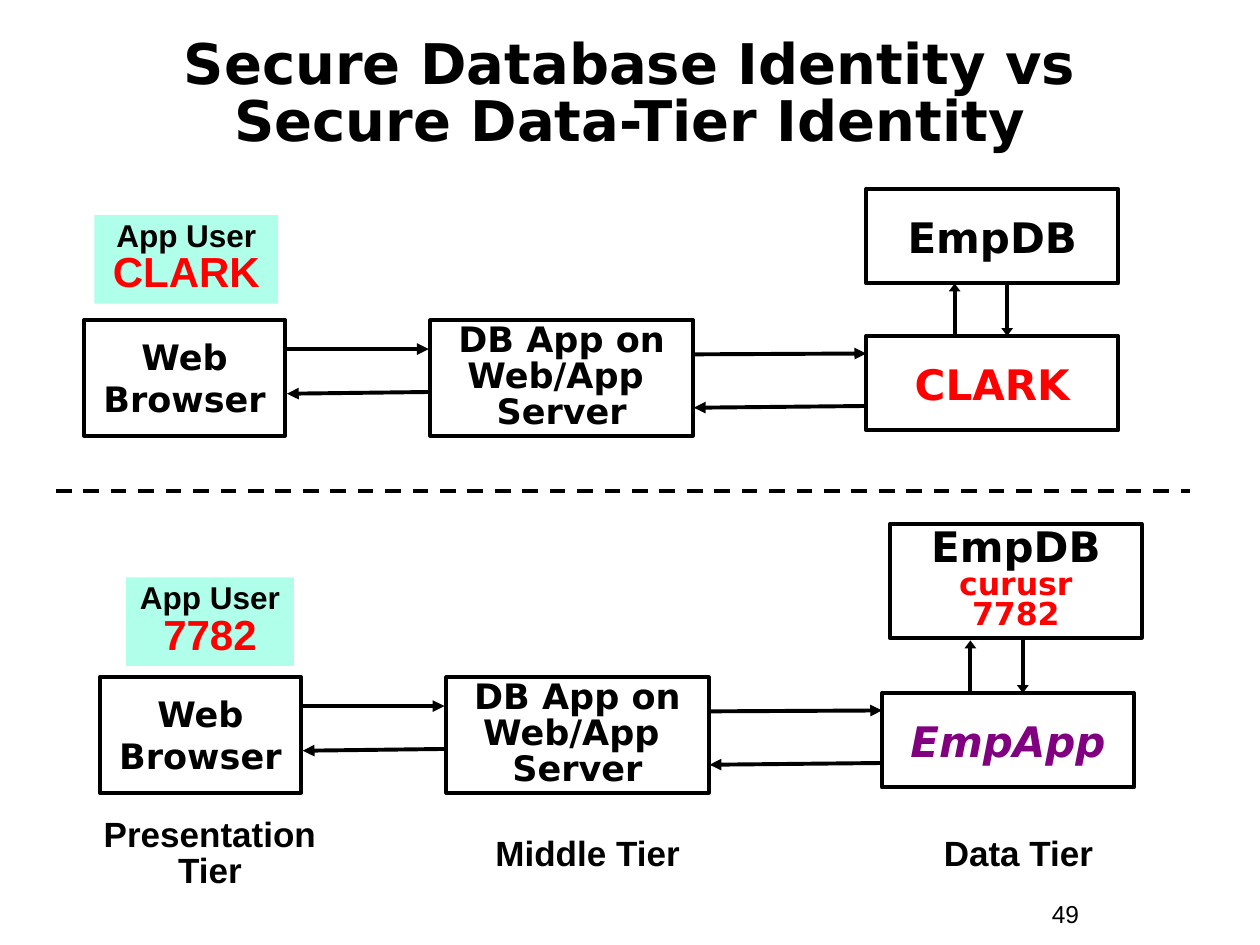
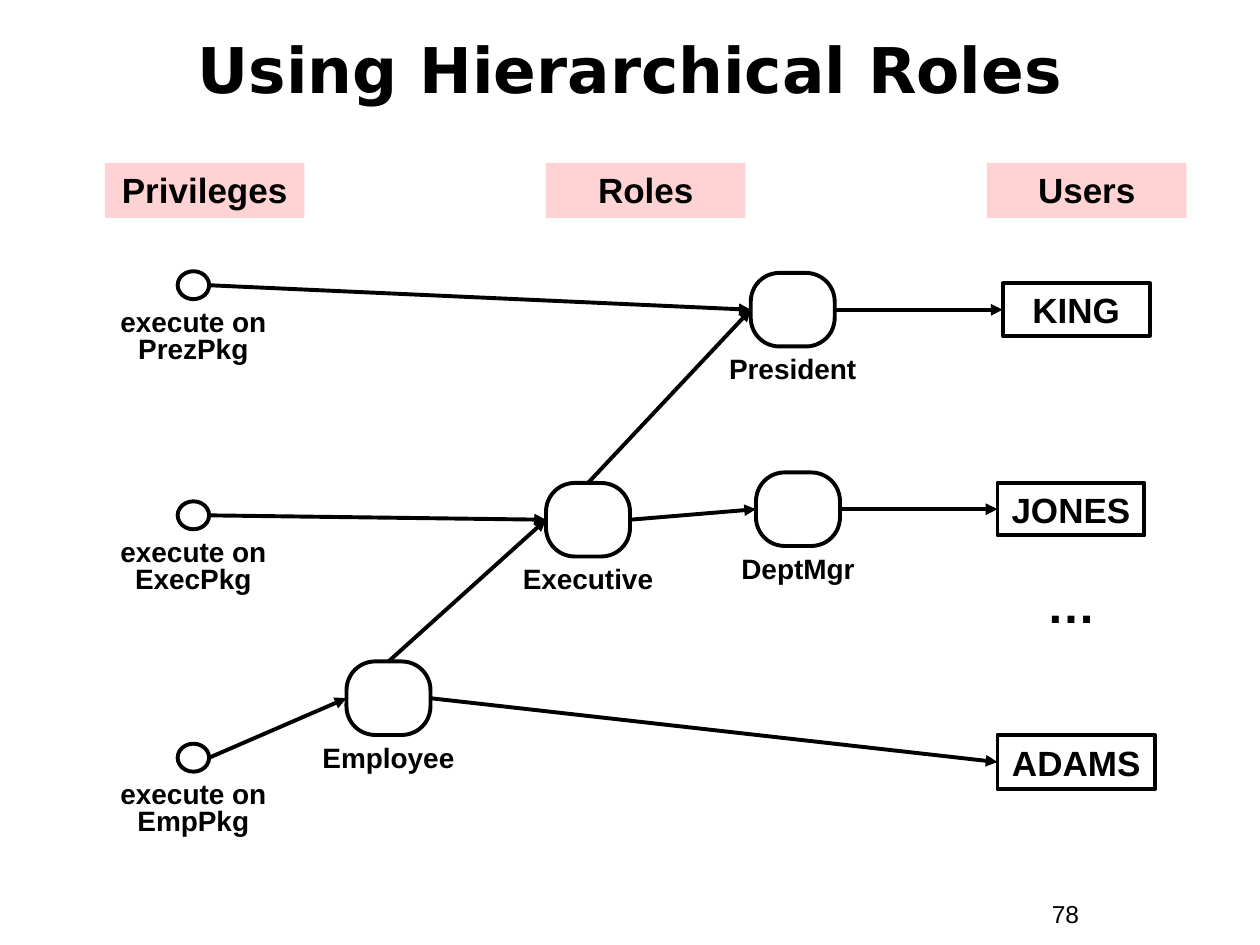
from copy import deepcopy

from lxml.etree import SubElement
from pptx import Presentation
from pptx.dml.color import RGBColor
from pptx.enum.dml import MSO_LINE
from pptx.enum.shapes import MSO_CONNECTOR, MSO_SHAPE
from pptx.enum.text import MSO_ANCHOR, MSO_AUTO_SIZE, PP_ALIGN
from pptx.oxml.ns import qn
from pptx.util import Pt

BLACK = RGBColor(0x00, 0x00, 0x00)
RED = RGBColor(0xFF, 0x00, 0x00)
PURPLE = RGBColor(0x80, 0x00, 0x80)
MINT = RGBColor(0xAF, 0xFF, 0xEA)
PINK = RGBColor(0xFF, 0xD3, 0xD3)
SANS = "Arial"
WIDE = "DejaVu Sans"
LINE_WIDTH = Pt(2.25)
TOP, LEFT, BOTTOM, RIGHT = range(4)
TITLE_ONLY = 5


def write(shape, *runs, font=SANS, spacing=1.0, align=PP_ALIGN.CENTER,
          anchor=MSO_ANCHOR.TOP, wrap=True, bold=True):
    """Fill a shape with one paragraph of (text, size, colour[, italic]) runs."""
    frame = shape.text_frame
    frame.word_wrap = wrap
    frame.auto_size = MSO_AUTO_SIZE.NONE
    frame.vertical_anchor = anchor
    frame.margin_left = frame.margin_right = Pt(7.2)
    frame.margin_top = frame.margin_bottom = Pt(3.6)
    paragraph = frame.paragraphs[0]
    paragraph.alignment = align
    paragraph.line_spacing = spacing
    paragraph.space_before = Pt(0)
    for text, size, color, *italic in runs:
        for number, line in enumerate(text.split("\n")):
            if number:
                paragraph.add_line_break()
                paragraph._p[-1].append(deepcopy(run._r.rPr))
            if not line:
                continue
            run = paragraph.add_run()
            run.text = line
            run.font.name = font
            run.font.size = Pt(size)
            run.font.bold = bold
            run.font.italic = bool(italic)
            run.font.color.rgb = color


def add_label(slide, box, text, size=20, **style):
    """Add free text in a box."""
    label = slide.shapes.add_textbox(*map(Pt, box))
    write(label, (text, size, BLACK), **style)


def add_box(slide, box, preset=MSO_SHAPE.RECTANGLE, fill=None):
    """Add a filled shape without outline, or an outlined one without fill."""
    shape = slide.shapes.add_shape(preset, *map(Pt, box))
    shape.shadow.inherit = False
    if fill is None:
        shape.fill.background()
        shape.line.color.rgb = BLACK
        shape.line.width = LINE_WIDTH
    else:
        shape.fill.solid()
        shape.fill.fore_color.rgb = fill
        shape.line.fill.background()
    return shape


def add_line(slide, start, end, head="med", dash=None):
    """Draw a straight line; each end is a point or a (shape, side) pair."""
    joins = [not isinstance(tip[0], (int, float)) for tip in (start, end)]
    points = [(0, 0) if joined else tip for joined, tip in zip(joins, (start, end))]
    line = slide.shapes.add_connector(
        MSO_CONNECTOR.STRAIGHT, *(Pt(value) for point in points for value in point))
    if joins[0]:
        line.begin_connect(*start)
    if joins[1]:
        line.end_connect(*end)
    line.line.color.rgb = BLACK
    line.line.width = LINE_WIDTH
    if dash:
        line.line.dash_style = dash
    if head:
        SubElement(line.line._get_or_add_ln(), qn("a:tailEnd"),
                   type="triangle", w="med", len=head)
    SubElement(line._element.spPr, qn("a:effectLst"))


def start_slide(deck, title, box, size, number, spacing=1.0):
    """Add a slide with its title and page number."""
    slide = deck.slides.add_slide(deck.slide_layouts[TITLE_ONLY])
    heading = slide.shapes.title
    heading.left, heading.top, heading.width, heading.height = map(Pt, box)
    write(heading, (title, size, BLACK), font=WIDE, spacing=spacing,
          anchor=MSO_ANCHOR.MIDDLE)
    add_label(slide, (594, 510, 66, 24.5), number, 14,
              align=PP_ALIGN.LEFT, bold=False)
    return slide


def add_tier_row(slide, x, y, user, user_box, database, database_box, identity,
                 database_spacing=1.0):
    """Draw browser, application and data tier, relative to the browser's corner."""
    def place(left, top, width, height):
        return x + left, y + top, width, height

    middle = {"font": WIDE, "anchor": MSO_ANCHOR.MIDDLE, "wrap": False}
    write(add_box(slide, place(0, 0, 115, 66)),
          ("Web\nBrowser", 20, BLACK), **middle)
    write(add_box(slide, place(198, 0, 150, 66)),
          ("DB App on\nWeb/App \nServer", 20, BLACK), spacing=0.85, **middle)
    write(add_box(slide, place(447, 9, 144, 54)), identity, **middle)
    write(add_box(slide, place(*database_box)), *database,
          spacing=database_spacing, **middle)
    write(add_box(slide, place(*user_box), fill=MINT),
          ("App User\n", 18, BLACK), (user, 24, RED), spacing=0.85)

    flows = [((116, 16.5), (197, 16.5), "med"), ((197, 41), (116, 42), "med"),
             ((348.5, 19.5), (447, 19), "med"), ((447, 49), (348.5, 50), "med"),
             ((497.5, 9), (497.5, -21), "sm"), ((527.5, -21), (527.5, 9), "sm")]
    for (x1, y1), (x2, y2), head in flows:
        add_line(slide, (x + x1, y + y1), (x + x2, y + y2), head)


def build_identity_slide(deck):
    """Compare the two ways to carry an identity to the data tier."""
    slide = start_slide(
        deck, "Secure Database Identity vs\nSecure Data-Tier Identity",
        (24, 19.5, 672, 70.5), 32, "49", spacing=0.85)
    add_tier_row(slide, 48, 183, "CLARK", (6, -60, 105, 50.5),
                 [("EmpDB", 24, BLACK)], (447, -75, 144, 54),
                 ("CLARK", 24, RED))
    add_line(slide, (32, 280.5), (680, 280.5), head=None, dash=MSO_LINE.DASH)
    add_tier_row(slide, 57, 387, "7782", (15, -57, 96, 50.5),
                 [("EmpDB\n", 24, BLACK), ("curusr\n7782", 18, RED)],
                 (451.5, -87.5, 144, 65), ("EmpApp", 24, PURPLE, True),
                 database_spacing=0.8)
    add_label(slide, (48, 464.5, 144, 48), "Presentation Tier", spacing=0.85)
    add_label(slide, (276, 471.5, 126, 31.5), "Middle Tier", align=PP_ALIGN.LEFT)
    add_label(slide, (516, 471.5, 132, 31.5), "Data Tier")


def add_privilege(slide, y, package_name):
    """Draw a privilege circle with its caption and return its right-hand point."""
    x, width, height = 101.5, 18, 16
    add_box(slide, (x, y, width, height), MSO_SHAPE.OVAL)
    add_label(slide, (x - 63, y + 19, 144, 38), f"execute on\n{package_name}", 16,
              spacing=0.8)
    return x + width, y + height / 2


def add_role(slide, x, y, name):
    """Draw a rounded role with its name below it."""
    role = add_box(slide, (x, y, 48, 42), MSO_SHAPE.ROUNDED_RECTANGLE)
    role.adjustments[0] = 0.39
    add_label(slide, (x - 30, y + 41.5, 108, 26.5), name, 16)
    return role


def add_user(slide, box, name):
    """Draw a user's box."""
    user = add_box(slide, box)
    write(user, (name, 20, BLACK), anchor=MSO_ANCHOR.MIDDLE, wrap=False)
    return user


def build_roles_slide(deck):
    """Show privileges flowing through roles to users."""
    slide = start_slide(deck, "Using Hierarchical Roles",
                        (54, 24, 612, 30), 36, "78")
    for column, heading in enumerate(("Privileges", "Roles", "Users")):
        write(add_box(slide, (60 + 252 * column, 93, 114, 31.5), fill=PINK),
              (heading, 20, BLACK))

    run_prez = add_privilege(slide, 155, "PrezPkg")
    run_exec = add_privilege(slide, 286.5, "ExecPkg")
    run_emp = add_privilege(slide, 425, "EmpPkg")
    president = add_role(slide, 429, 156, "President")
    executive = add_role(slide, 312, 276, "Executive")
    dept_mgr = add_role(slide, 432, 270, "DeptMgr")
    employee = add_role(slide, 198, 378, "Employee")
    king = add_user(slide, (573, 162, 84, 30), "KING")
    jones = add_user(slide, (570, 276, 84, 30), "JONES")
    adams = add_user(slide, (570, 420, 90, 31), "ADAMS")
    add_label(slide, (564, 330, 96, 36), "…", 28, spacing=0.85)

    grants = [(run_prez, president), (run_exec, executive), (run_emp, employee),
              ((employee, TOP), executive), ((executive, TOP), president),
              ((executive, RIGHT), dept_mgr), ((president, RIGHT), king),
              ((dept_mgr, RIGHT), jones), ((employee, RIGHT), adams)]
    for source, receiver in grants:
        add_line(slide, source, (receiver, LEFT))


def main():
    """Build and save the deck."""
    deck = Presentation()
    deck.slide_width, deck.slide_height = Pt(720), Pt(540)
    build_identity_slide(deck)
    build_roles_slide(deck)
    deck.save("out.pptx")


if __name__ == "__main__":
    main()
